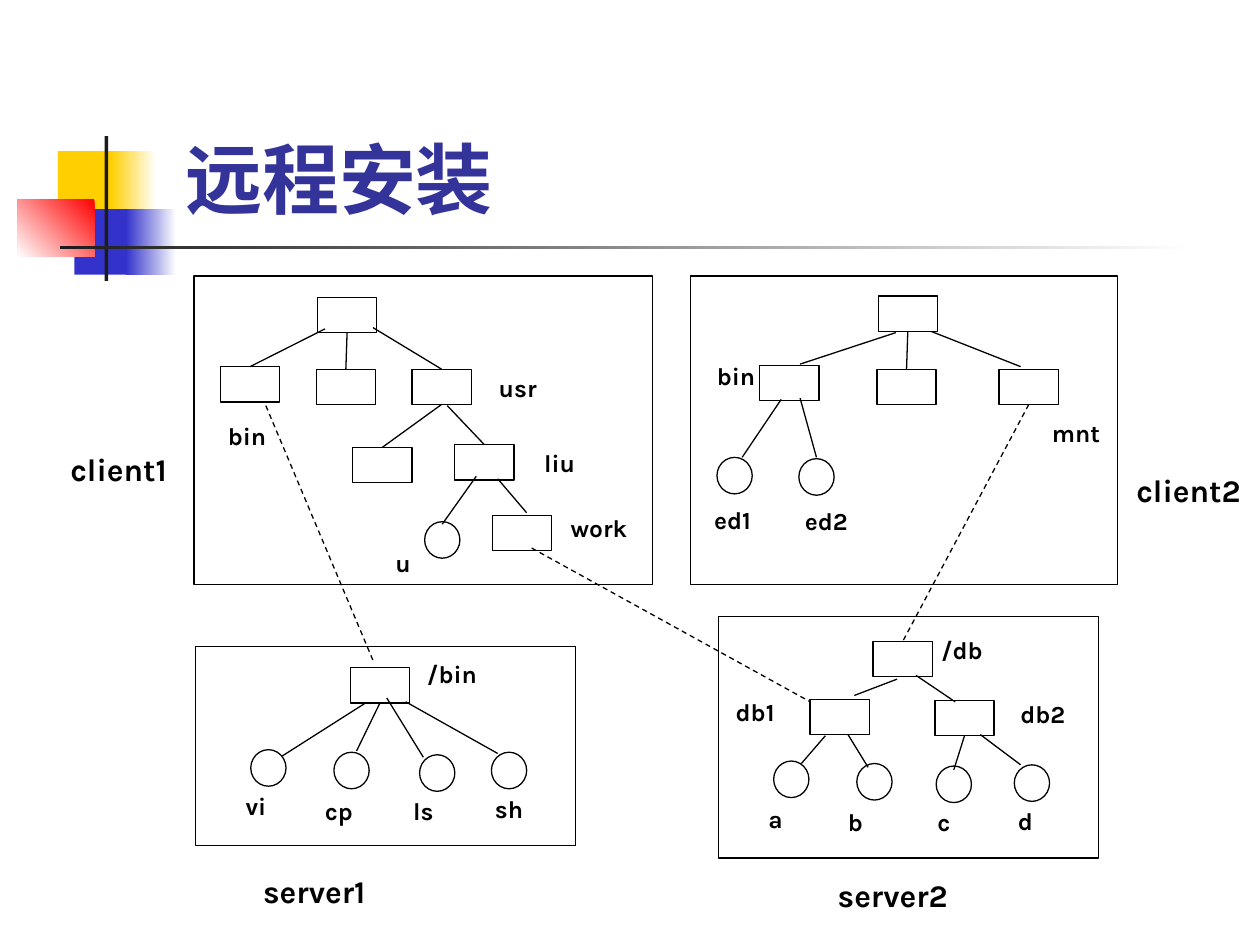
from dataclasses import dataclass
from math import dist

from pptx import Presentation
from pptx import util as u
from pptx.dml.color import RGBColor
from pptx.enum import dml, shapes, text
from pptx.oxml.ns import qn


@dataclass(frozen=True)
class Theme:
    font: str = "Karla"
    ink: str = "000000"
    paper: str = "FFFFFF"
    title: str = "333399"
    yellow: str = "FFCF01"
    blue: str = "3333CC"
    red: str = "FF0000"
    bar: str = "1C1C1C"
    title_size: int = 44
    host_size: int = 18
    label_size: int = 14
    line: float = 0.75


THEME = Theme()
NODE, FILE = (0.47, 0.28), (0.28, 0.29)
LABEL_HEIGHT, HOST_HEIGHT = 0.34, 0.4
SNAP = 0.035

# place, colours from start to end, clockwise gradient angle
ORNAMENT = [
    ((0.46, 1.2, 0.48, 0.52), [THEME.yellow], 0),
    ((0.88, 1.2, 0.36, 0.52), [THEME.paper, THEME.yellow], 180),
    ((0.59, 1.66, 0.46, 0.52), [THEME.blue], 0),
    ((1, 1.66, 0.4, 0.52), [THEME.paper, THEME.blue], 180),
    ((0.14, 1.58, 0.61, 0.46), [THEME.red, THEME.paper], 135),
    ((0.83, 1.08, 0.03, 1.15), [THEME.bar], 0),
    ((0.48, 1.95, 9, 0.03), [THEME.paper, THEME.bar], 180),
]

# directories and files: left, top; labels and host: text, left, top, width
HOSTS = [
    dict(
        host=("client1", 0.46, 3.52, 1.13), frame=(1.54, 2.19, 3.64, 2.45),
        directories=[(2.52, 2.36), (1.75, 2.91), (2.51, 2.93), (3.27, 2.93),
                     (2.8, 3.55), (3.61, 3.53), (3.91, 4.09)],
        files=[(3.37, 4.14)],
        labels=[("bin", 1.71, 3.29, 0.55), ("usr", 3.86, 2.91, 0.62),
                ("liu", 4.22, 3.51, 0.48), ("work", 4.43, 4.02, 0.78),
                ("u", 3.04, 4.3, 0.3)],
        links=[((2.58, 2.61), (1.98, 2.89)), ((2.96, 2.6), (3.51, 2.94)),
               ((2.73, 2.63), (2.75, 2.93)), ((3.48, 3.22), (3.01, 3.53)),
               ((3.55, 3.22), (3.84, 3.51)), ((3.78, 3.78), (3.51, 4.16)),
               ((3.95, 3.8), (4.18, 4.07))],
    ),
    dict(
        host=("server1", 1.99, 6.87, 1.28), frame=(1.55, 5.13, 3.02, 1.58),
        directories=[(2.78, 5.3)],
        files=[(1.99, 5.95), (2.65, 5.97), (3.33, 5.99), (3.9, 5.97)],
        labels=[("/bin", 3.29, 5.18, 0.71), ("vi", 1.85, 6.23, 0.58),
                ("cp", 2.48, 6.27, 0.58), ("ls", 3.18, 6.27, 0.58),
                ("sh", 3.83, 6.25, 0.58)],
        links=[((2.9, 5.58), (2.24, 6)), ((2.99, 5.59), (2.83, 5.96)),
               ((3.07, 5.54), (3.36, 6.01)), ((3.22, 5.57), (3.95, 5.98))],
    ),
    dict(
        host=("server2", 6.55, 6.9, 1.22), frame=(5.7, 4.89, 3.02, 1.92),
        directories=[(6.93, 5.09), (6.43, 5.55), (7.42, 5.56)],
        files=[(6.14, 6.04), (6.8, 6.06), (7.43, 6.08), (8.05, 6.07)],
        labels=[("/db", 7.37, 4.99, 0.58), ("db1", 5.74, 5.48, 0.66),
                ("db2", 8, 5.5, 0.66), ("a", 6, 6.33, 0.58),
                ("b", 6.63, 6.36, 0.58), ("c", 7.34, 6.36, 0.58),
                ("d", 7.98, 6.35, 0.58)],
        links=[((7.12, 5.39), (6.78, 5.52)), ((7.27, 5.36), (7.58, 5.57)),
               ((6.55, 5.84), (6.36, 6.06)), ((6.73, 5.83), (6.89, 6.09)),
               ((7.67, 5.83), (7.57, 6.11)), ((7.78, 5.83), (8.1, 6.07))],
    ),
    dict(
        host=("client2", 8.92, 3.69, 1.08), frame=(5.48, 2.19, 3.39, 2.45),
        directories=[(6.97, 2.35), (6.03, 2.9), (6.96, 2.93), (7.93, 2.93)],
        files=[(5.69, 3.63), (6.34, 3.64)],
        labels=[("bin", 5.59, 2.82, 0.58), ("mnt", 8.25, 3.27, 0.66),
                ("ed1", 5.57, 3.96, 0.57), ("ed2", 6.29, 3.97, 0.7)],
        links=[((7.11, 2.64), (6.35, 2.89)), ((7.2, 2.64), (7.2, 2.9)),
               ((7.39, 2.63), (8.1, 2.91)), ((6.2, 3.17), (5.89, 3.63)),
               ((6.35, 3.16), (6.48, 3.63))],
    ),
]
MOUNTS = [((8.14, 3.23), (7.14, 5.09)), ((4.22, 4.35), (6.43, 5.57)),
          ((2.11, 3.22), (2.96, 5.24))]


def inches(values):
    return [u.Inches(value) for value in values]


def add_text(page, words, place, *, size, color=THEME.ink,
             anchor=text.MSO_ANCHOR.TOP):
    box = page.shapes.add_textbox(*inches(place))
    box.text_frame.word_wrap = True
    box.text_frame.vertical_anchor = anchor
    span = box.text_frame.paragraphs[0].add_run()
    span.text = words
    span.font.name, span.font.size, span.font.bold = THEME.font, u.Pt(size), True
    span.font.color.rgb = RGBColor.from_string(color)


def add_block(page, place, colors=(THEME.paper,), angle=0, *, outlined=False,
              kind=shapes.MSO_SHAPE.RECTANGLE):
    block = page.shapes.add_shape(kind, *inches(place))
    block.shadow.inherit = False
    if len(colors) > 1:
        block.fill.gradient()
        block.fill.gradient_angle = 360 - angle
        for stop, color in zip(block.fill.gradient_stops, colors):
            stop.color.rgb = RGBColor.from_string(color)
    else:
        block.fill.solid()
        block.fill.fore_color.rgb = RGBColor.from_string(colors[0])
    if outlined:
        block.line.color.rgb = RGBColor.from_string(THEME.ink)
        block.line.width = u.Pt(THEME.line)
    else:
        block.line.fill.background()
    return block


def nearest_side(point, directories):
    """Return the directory and side index whose midpoint is at the point."""
    for block in directories:
        left, top = block.left.inches, block.top.inches
        width, height = NODE
        sides = [(left + width / 2, top), (left, top + height / 2),
                 (left + width / 2, top + height), (left + width, top + height / 2)]
        for index, middle in enumerate(sides):
            if dist(point, middle) <= SNAP:
                return block, (0, 1, 2, 3)[index]
    return None


def add_link(page, start, end, directories, dashed=False):
    link = page.shapes.add_connector(
        shapes.MSO_CONNECTOR.STRAIGHT, *inches(start + end))
    for point, connect in ((start, link.begin_connect), (end, link.end_connect)):
        joint = nearest_side(point, directories)
        if joint:
            connect(*joint)
    link.line.color.rgb = RGBColor.from_string(THEME.ink)
    link.line.width = u.Pt(THEME.line)
    if dashed:
        link.line.dash_style = dml.MSO_LINE.DASH
    properties = link.element.find(qn("p:spPr"))
    properties.append(properties.makeelement(qn("a:effectLst"), {}))


def add_host(page, host):
    add_block(page, host["frame"], outlined=True)
    directories = [add_block(page, place + NODE, outlined=True)
                   for place in host["directories"]]
    for place in host["files"]:
        add_block(page, place + FILE, outlined=True, kind=shapes.MSO_SHAPE.OVAL)
    for words, *place in host["labels"]:
        add_text(page, words, place + [LABEL_HEIGHT], size=THEME.label_size)
    words, *place = host["host"]
    add_text(page, words, place + [HOST_HEIGHT], size=THEME.host_size)
    for start, end in host["links"]:
        add_link(page, start, end, directories)
    return directories


def main():
    deck = Presentation()
    deck.slide_width, deck.slide_height = inches((10, 7.5))
    page = deck.slides.add_slide(deck.slide_layouts[6])
    for place, colors, angle in ORNAMENT:
        add_block(page, place, colors, angle)
    add_text(page, "远程安装", (1.37, 0.23, 8.52, 1.6), size=THEME.title_size,
             color=THEME.title, anchor=text.MSO_ANCHOR.BOTTOM)
    directories = [block for host in HOSTS for block in add_host(page, host)]
    for start, end in MOUNTS:
        add_link(page, start, end, directories, dashed=True)
    deck.save("out.pptx")


if __name__ == "__main__":
    main()
